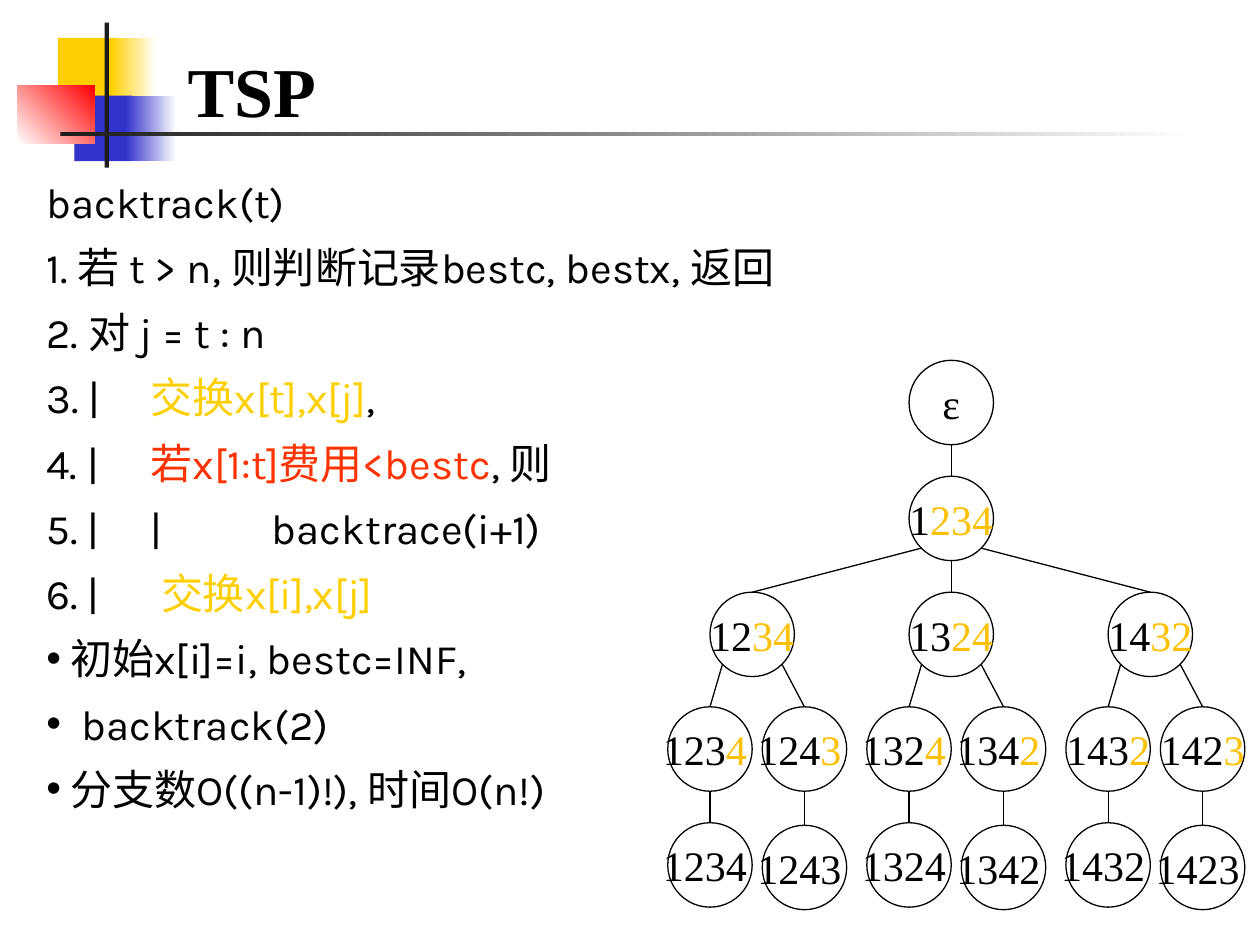
"""Build the TSP backtracking slide."""
import pptx
import pptx.dml.color
import pptx.enum.shapes
import pptx.enum.text
import pptx.oxml.ns
import pptx.util
from lxml import etree

SHAPE = pptx.enum.shapes.MSO_SHAPE
ALIGN = pptx.enum.text.PP_ALIGN
ANCHOR = pptx.enum.text.MSO_ANCHOR
BLACK, WHITE, INK = "000000", "FFFFFF", "1C1C1C"
YELLOW, BLUE, RED = "FFCF01", "3333CC", "FF0000"
ORANGE, AMBER = "FF3300", "FFC000"
SERIF, SANS = "Times New Roman", "Karla"


def rgb(code):
    """Turn a hex string into a colour."""
    return pptx.dml.color.RGBColor.from_string(code)


def add(parent, tag, **attrs):
    """Append a drawing element with the given attributes."""
    el = etree.SubElement(parent, pptx.oxml.ns.qn(tag))
    for key, value in attrs.items():
        el.set(key, str(value))
    return el


class Deck:
    """Hold the style and current slide on a grid of 100 columns by 75 rows."""

    def __init__(self):
        """Open a blank slide of 10 by 7.5 inches."""
        self.prs = pptx.Presentation()
        self.prs.slide_width = self.units(100)
        self.prs.slide_height = self.units(75)
        self.s = self.prs.slides.add_slide(self.prs.slide_layouts[6])

    def units(self, *cells):
        """Convert grid cells to lengths."""
        lengths = [pptx.util.Inches(c / 10) for c in cells]
        return lengths if len(lengths) > 1 else lengths[0]

    def runs(self, p, parts, size=24, font=SERIF, bold=False):
        """Write (text, colour) runs into a paragraph."""
        for text, color in parts:
            r = p.add_run()
            r.text = text
            r.font.size = pptx.util.Pt(size)
            r.font.name = font
            r.font.bold = bold
            r.font.color.rgb = rgb(color)

    def block(self, box, start, end=None, angle=0):
        """Draw a borderless rectangle with a plain or gradient fill."""
        sp = self.s.shapes.add_shape(SHAPE.RECTANGLE, *self.units(*box))
        sp.shadow.inherit = False
        sp.line.fill.background()
        if end is None:
            sp.fill.solid()
            sp.fill.fore_color.rgb = rgb(start)
            return
        sp.fill.gradient()
        sp.fill.gradient_angle = angle
        for stop, place, color in zip(sp.fill.gradient_stops, (0, 1), (start, end)):
            stop.position = place
            stop.color.rgb = rgb(color)

    def frame(self, box, anchor=ANCHOR.TOP):
        """Add a wrapping text box and return its text frame."""
        tf = self.s.shapes.add_textbox(*self.units(*box)).text_frame
        tf.word_wrap = True
        tf.vertical_anchor = anchor
        return tf

    def title(self, box, text):
        """Write the slide title."""
        p = self.frame(box, ANCHOR.BOTTOM).paragraphs[0]
        self.runs(p, [(text, BLACK)], size=40, bold=True)

    def listing(self, box, lines):
        """Write lines of (indent, tabs, runs), where an indent means a bullet."""
        tf = self.frame(box)
        for i, (indent, tabs, parts) in enumerate(lines):
            p = tf.add_paragraph() if i else tf.paragraphs[0]
            p.line_spacing = 1.1
            p.space_after = pptx.util.Pt(2.8)
            if i:
                p.space_before = pptx.util.Pt(2.8)
            pPr = p._p.get_or_add_pPr()
            if indent:
                pPr.set("marL", str(self.units(indent)))
                pPr.set("indent", str(-self.units(indent)))
                add(pPr, "a:buFont", typeface="Arial")
                add(pPr, "a:buChar", char="•")
            if tabs:
                tab_list = add(pPr, "a:tabLst")
                for tab in tabs:
                    add(tab_list, "a:tab", pos=self.units(tab), algn="l")
            self.runs(p, parts, font=SANS)

    def node(self, x, top, done, rest="", nudge=0):
        """Draw a tree node centred on column x, its text nudged to the left."""
        box = self.units(x - NODE / 2, top, NODE, NODE)
        sp = self.s.shapes.add_shape(SHAPE.OVAL, *box)
        sp.shadow.inherit = False
        sp.fill.background()
        sp.line.color.rgb = rgb(BLACK)
        sp.line.width = pptx.util.Pt(0.75)
        tf = sp.text_frame
        tf.margin_left = tf.margin_top = tf.margin_bottom = 0
        tf.margin_right = self.units(2 * nudge)
        tf.word_wrap = False
        tf.vertical_anchor = ANCHOR.MIDDLE
        p = tf.paragraphs[0]
        p.alignment = ALIGN.CENTER
        self.runs(p, [(t, c) for t, c in ((done, BLACK), (rest, AMBER)) if t])

    def edge(self, x, top, child_x, child_top):
        """Join a node's lower rim to the top of its child."""
        side = (child_x > x) - (child_x < x)
        start_y = top + (5.7 if side else NODE)
        ends = self.units(x + 2.35 * side, start_y, child_x, child_top)
        c = self.s.shapes.add_connector(pptx.enum.shapes.MSO_CONNECTOR.STRAIGHT, *ends)
        c.line.color.rgb = rgb(BLACK)
        c.line.width = pptx.util.Pt(0.75)
        add(c._element.spPr, "a:effectLst")


NODE = 6.7
LEVELS = (28.6, 37.8, 47, 56.1)
LEAF_TOPS = (65.3, 65.5)
CENTRE, SPREAD = 75.5, 15.8
CHILD_OFFSETS = (-3.35, 4.15)
BRANCHES = (
    ("12", "34", 0.4, ("1234", "1243")),
    ("13", "24", 0.4, ("1324", "1342")),
    ("14", "32", 0, ("1432", "1423")),
)
BLOCKS = (
    ((4.6, 3, 4.8, 5.2), YELLOW),
    ((8.8, 3, 3.6, 5.2), YELLOW, WHITE),
    ((5.9, 7.6, 4.6, 5.2), BLUE),
    ((10, 7.6, 4, 5.2), BLUE, WHITE),
    ((1.4, 6.8, 6.1, 4.6), WHITE, RED, 45),
    ((8.3, 1.8, 0.35, 11.5), INK),
    ((4.8, 10.5, 90, 0.3), INK, WHITE),
)
LINES = (
    (0, (), [("backtrack(t)", BLACK)]),
    (0, (), [("1. 若 t > n, 则判断记录bestc, bestx, 返回", BLACK)]),
    (0, (), [("2. 对 j = t : n", BLACK)]),
    (0, (8.3,), [("3. |\t", BLACK), ("交换x[t],x[j]", YELLOW), (",", BLACK)]),
    (0, (8.3,), [("4. |\t", BLACK), ("若x[1:t]费用<bestc", ORANGE), (", 则", BLACK)]),
    (0, (8.3, 17.9), [("5. |\t|\tbacktrace(i+1)", BLACK)]),
    (0, (9.1,), [("6. |\t", BLACK), ("交换x[i],x[j]", YELLOW)]),
    (1.9, (), [("初始x[i]=i, bestc=INF,", BLACK)]),
    (2.8, (), [("backtrack(2)", BLACK)]),
    (1.9, (), [("分支数O((n-1)!), 时间O(n!)", BLACK)]),
)


def main():
    """Compose the slide and save it."""
    deck = Deck()
    for block in BLOCKS:
        deck.block(*block)
    deck.title((13.9, 1.7, 85.2, 9.2), "TSP")
    deck.listing((2.7, 13.1, 72.4, 61.3), LINES)

    root, first, second, third = LEVELS
    deck.node(CENTRE, root, "ε")
    deck.edge(CENTRE, root, CENTRE, first)
    deck.node(CENTRE, first, "1", "234")
    for i, (done, rest, nudge, tours) in enumerate(BRANCHES):
        x = CENTRE + (i - 1) * SPREAD
        deck.edge(CENTRE, first, x, second)
        deck.node(x, second, done, rest)
        for offset, leaf_top, tour in zip(CHILD_OFFSETS, LEAF_TOPS, tours):
            child_x = x + offset
            deck.edge(x, second, child_x, third)
            deck.node(child_x, third, tour[:3], tour[3:], nudge)
            deck.edge(child_x, third, child_x, leaf_top)
            deck.node(child_x, leaf_top, tour, nudge=0.4)
    deck.prs.save("out.pptx")


if __name__ == "__main__":
    main()
